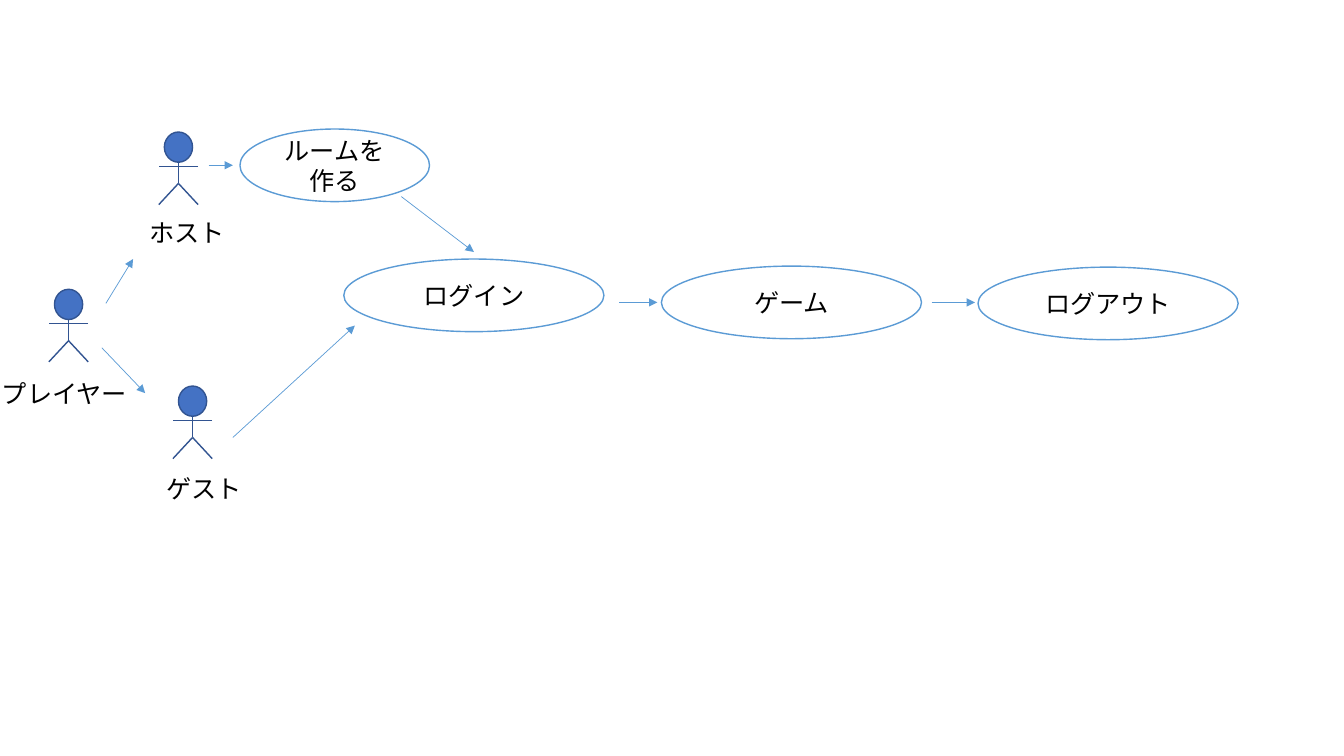
from pptx import Presentation
from pptx.dml.color import RGBColor
from pptx.enum.shapes import MSO_CONNECTOR as Link, MSO_SHAPE as Preset
from pptx.enum.text import MSO_ANCHOR as Anchor, MSO_AUTO_SIZE as AutoSize, PP_ALIGN as Align
from pptx.oxml.ns import qn
from pptx.util import Inches, Pt
from lxml.etree import SubElement

FONT = "Noto Sans CJK JP"
BLACK, WHITE = "000000", "FFFFFF"
HEAD, BODY, FLOW = "4472C4", "325491", "5B9BD5"

actors = [
    ("ホスト", (1.77, 1.31), (1.38, 2.11, 1.04)),
    ("ゲスト", (1.91, 3.83), (1.55, 4.65, 1.04)),
    ("プレイヤー", (0.68, 2.87), (-0.08, 3.7, 1.52)),
]
use_cases = [
    ("ルームを作る", 2.38, 1.28, 1.88),
    ("ログイン", 3.41, 2.57, 2.58),
    ("ゲーム", 6.56, 2.64, 2.58),
    ("ログアウト", 9.7, 2.65, 2.58),
]
flows = [
    ((1.05, 3.01), (1.32, 2.57)),
    ((1.01, 3.45), (1.44, 3.9)),
    ((2.07, 1.64), (2.31, 1.64)),
    ((3.98, 1.95), (4.7, 2.5)),
    ((2.31, 4.34), (3.52, 3.23)),
    ((6.14, 3), (6.52, 3)),
    ((9.24, 3), (9.67, 3)),
]
HEAD_W, HEAD_H, CASE_H, LABEL_H = 0.28, 0.3, 0.72, 0.4
NECK, ARMS, HIP, FEET, REACH = 0.3, 0.34, 0.51, 0.72, 0.195
limbs = [
    ((0, NECK), (0, HIP)),
    ((-REACH, FEET), (0, HIP)),
    ((REACH, FEET), (0, HIP)),
    ((REACH, ARMS), (0, ARMS)),
    ((0, ARMS), (-REACH, ARMS)),
]


def color(hex_code):
    return RGBColor.from_string(hex_code)


def add_line(shapes, start, end, hex_code, weight):
    line = shapes.add_connector(Link.STRAIGHT, *map(Inches, (*start, *end)))
    line.line.color.rgb = color(hex_code)
    line.line.width = Pt(weight)
    SubElement(line._element.spPr, qn("a:effectLst"))
    return line


def add_ellipse(shapes, box, fill, outline):
    ellipse = shapes.add_shape(Preset.OVAL, *map(Inches, box))
    ellipse.shadow.inherit = False
    ellipse.fill.solid()
    ellipse.fill.fore_color.rgb = color(fill)
    ellipse.line.color.rgb = color(outline)
    ellipse.line.width = Pt(1)
    return ellipse


def write(frame, words, align):
    frame.word_wrap = True
    paragraph = frame.paragraphs[0]
    paragraph.alignment = align
    run = paragraph.add_run()
    run.text = words
    run.font.size = Pt(18)
    run.font.name = FONT
    run.font.color.rgb = color(BLACK)
    SubElement(run.font._element, qn("a:ea"), typeface=FONT)


def add_actor(shapes, name, head_top, label):
    x, y = head_top
    figure = shapes.add_group_shape().shapes
    add_ellipse(figure, (x - HEAD_W / 2, y, HEAD_W, HEAD_H), HEAD, BODY)
    for (x1, y1), (x2, y2) in limbs:
        add_line(figure, (x + x1, y + y1), (x + x2, y + y2), BODY, 1)
    frame = shapes.add_textbox(*map(Inches, (*label, LABEL_H))).text_frame
    write(frame, name, Align.LEFT)
    frame.auto_size = AutoSize.SHAPE_TO_FIT_TEXT


def add_use_case(shapes, name, left, top, width):
    frame = add_ellipse(shapes, (left, top, width, CASE_H), WHITE, FLOW).text_frame
    frame.vertical_anchor = Anchor.MIDDLE
    write(frame, name, Align.CENTER)


def add_flow(shapes, start, end):
    arrow = add_line(shapes, start, end, FLOW, 0.5)
    SubElement(arrow.line._get_or_add_ln(), qn("a:tailEnd"), type="triangle")


deck = Presentation()
deck.slide_width, deck.slide_height = Inches(13.33), Inches(7.5)
diagram = deck.slides.add_slide(deck.slide_layouts[6]).shapes

for actor in actors:
    add_actor(diagram, *actor)
for use_case in use_cases:
    add_use_case(diagram, *use_case)
for flow in flows:
    add_flow(diagram, *flow)

deck.save("out.pptx")
